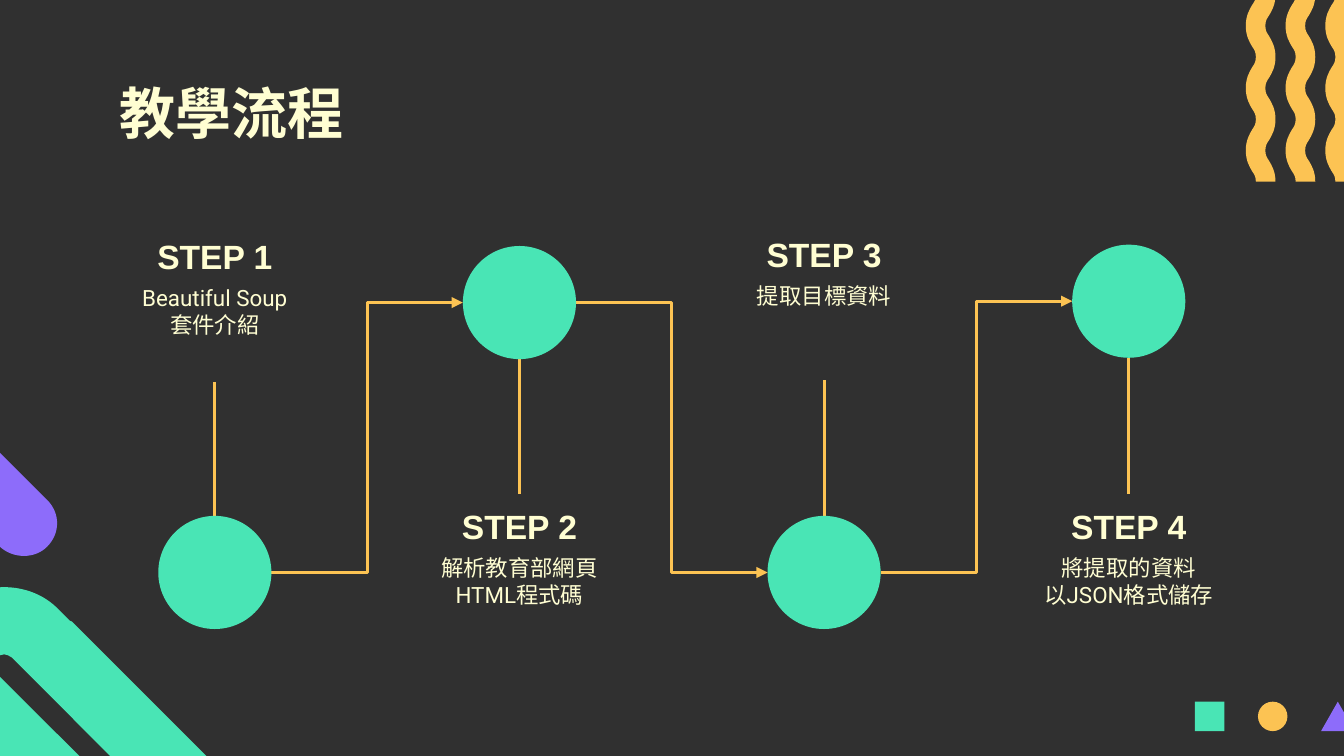
from pptx import Presentation
from pptx.dml.color import RGBColor as Rgb
from pptx.enum.shapes import MSO_CONNECTOR as Link, MSO_SHAPE as Kind
from pptx.enum.text import MSO_ANCHOR as Anchor, PP_ALIGN as Align
from pptx.oxml import parse_xml
from pptx.oxml.ns import nsdecls
from pptx.util import Pt

HUES = {
    "dark": "303030",
    "cream": "FFFED2",
    "mint": "49E5B5",
    "gold": "FCC353",
    "violet": "8D6CFA",
}

STEPS = [
    ("STEP 1", ["Beautiful Soup", "套件介紹"], 306.7, 119.8),
    ("STEP 2", ["解析教育部網頁HTML程式碼"], 162.1, 264.6),
    ("STEP 3", ["提取目標資料"], 306.7, 118.8),
    ("STEP 4", ["將提取的資料", "以JSON格式儲存"], 161.4, 264.6),
]

BAND = [
    (141.8, 547.9), (136.8, 547.9, 132.5, 546.5, 128.9, 542.9),
    (-27.4, 385.9), (-35.3, 378, -39.6, 367.9, -39.6, 356.4),
    (-39.6, 345.6, -35.3, 334.8, -27.4, 326.9),
    (-19.4, 319, -8.6, 314.6, 2.2, 314.6),
    (13, 314.6, 23.8, 318.5, 31.7, 326.9),
    (37.4, 332.6), (38.2, 332.6, 38.9, 333.4, 38.9, 333.4),
    (168.5, 463), (175.7, 470.2, 175.7, 481.7, 168.5, 488.9),
    (164.9, 492.5, 159.8, 493.9, 155.5, 493.9),
    (150.5, 493.9, 146.2, 492.5, 142.6, 488.9),
    (6.5, 352.4), (5, 351.4, 3.6, 350.6, 2.2, 350.6),
    (0.7, 350.6, -0.7, 351.4, -2.1, 352.4),
    (-2.9, 353.5, -3.6, 355, -3.6, 356.4),
    (-3.6, 357.8, -2.9, 359.3, -2.1, 360.6),
    (154.8, 517), (162, 524.2, 162, 535.7, 154.8, 542.9),
    (151.2, 546.5, 146.2, 547.9, 141.8, 547.9),
]

PILL = [
    (-41.8, 200.9), (25.2, 267.8), (32.4, 275, 32.4, 285.8, 25.2, 293),
    (18.7, 299.5, 7.2, 299.5, 0, 293), (-67, 225.4),
]

BEND = [(5.4, 0), (5.4, 2.6), (4.7, 3.7), (3.4, 5.6),
        (2, 8), (0, 11.2), (0, 16.7)]


def curves(dots):
    return [dots[0]] + [sum(dots[k:k + 3], ()) for k in range(1, len(dots), 3)]


def wave(left, top=-2.9, turn=33.4, wide=15.9):
    lap = BEND + [(x, turn - y) for x, y in reversed(BEND[:-1])]
    line = lap[:1] + [(x, y + turn * k) for k in range(4) for x, y in lap[1:]]
    near = [(left + x, top + y) for x, y in line[:37]]
    far = [(left + wide - x, top + y - turn / 2) for x, y in line[6:43]]
    return curves(near) + curves(far[::-1])


class Deck:
    def __init__(self):
        self.file = Presentation()
        self.file.slide_width, self.file.slide_height = Pt(720), Pt(405)
        self.slide = self.file.slides.add_slide(self.file.slide_layouts[6])
        self.shapes = self.slide.shapes
        self.paint(self.slide.background.fill, "dark")

    def paint(self, fill, hue):
        fill.solid()
        fill.fore_color.rgb = Rgb.from_string(HUES[hue])

    def plain(self, shape, hue):
        shape.shadow.inherit = False
        self.paint(shape.fill, hue)
        shape.line.fill.background()

    def shape(self, kind, x, y, w, h, hue):
        self.plain(self.shapes.add_shape(kind, Pt(x), Pt(y), Pt(w), Pt(h)), hue)

    def free(self, route, hue):
        dots = [(Pt(item[k]), Pt(item[k + 1]))
                for item in route for k in range(0, len(item), 2)]
        pen = self.shapes.build_freeform(*dots[0])
        pen.add_line_segments(dots[1:])
        shape = pen.convert_to_shape()
        legs = iter(shape.element.findall(".//{*}lnTo"))
        for item in route[1:]:
            leg = next(legs)
            if len(item) == 6:
                curve = parse_xml(f'<a:cubicBezTo {nsdecls("a")}/>')
                leg.addprevious(curve)
                for part in (leg, next(legs), next(legs)):
                    curve.append(part[0])
                    part.getparent().remove(part)
        self.plain(shape, hue)

    def text(self, x, y, w, h, lines, size, font="Arial", bold=False,
             align=Align.CENTER, anchor=Anchor.TOP):
        frame = self.shapes.add_textbox(Pt(x), Pt(y), Pt(w), Pt(h)).text_frame
        frame.word_wrap = True
        frame.vertical_anchor = anchor
        frame.margin_left = frame.margin_right = Pt(7.2)
        frame.margin_top = frame.margin_bottom = Pt(7.2)
        frame.text = "\n".join(lines)
        for para in frame.paragraphs:
            para.alignment = align
            para.font.name, para.font.size, para.font.bold = font, Pt(size), bold
            para.font.color.rgb = Rgb.from_string(HUES["cream"])

    def link(self, x1, y1, x2, y2, kind=Link.STRAIGHT, arrow=False):
        link = self.shapes.add_connector(kind, Pt(x1), Pt(y1), Pt(x2), Pt(y2))
        link.line.width = Pt(1.5)
        self.paint(link.line.fill, "gold")
        props = link.element.spPr
        if arrow:
            props.find("{*}ln").append(
                parse_xml(f'<a:tailEnd {nsdecls("a")} type="triangle"/>'))
        props.append(parse_xml(f'<a:effectLst {nsdecls("a")}/>'))

    def save(self):
        self.file.save("out.pptx")


def main():
    deck = Deck()

    for k in range(3):
        deck.free(wave(667.4 + 21.3 * k), "gold")
    deck.free(BAND, "mint")
    deck.free(PILL, "violet")
    marks = [(Kind.RECTANGLE, 15.8, "mint"), (Kind.OVAL, 15.8, "gold"),
             (Kind.ISOSCELES_TRIANGLE, 18, "violet")]
    for k, (kind, wide, hue) in enumerate(marks):
        deck.shape(kind, 640.1 + 33.8 * k, 375.9, wide, 15.8, hue)

    deck.text(56.9, 35, 606.6, 45, ["教學流程"], 30, bold=True, align=Align.LEFT)

    first, pitch, size, wide = 115.1, 163.2, 60.6, 116.6
    half = size / 2
    for k, (head, body, hub, top) in enumerate(STEPS):
        mid = first + pitch * k
        above = top < hub
        stem, edge = (top + 84.8, hub - half) if above else (top, hub + half)
        deck.link(mid, stem, mid, edge)
        if k < len(STEPS) - 1:
            deck.link(mid + half, hub, mid + pitch - half, STEPS[k + 1][2],
                      Link.ELBOW, True)
        deck.shape(Kind.OVAL, mid - half, hub - half, size, size, "mint")
        deck.text(mid - wide / 2, top, wide, 35.3, [head], 18, bold=True,
                  anchor=Anchor.BOTTOM)
        deck.text(mid - wide / 2, top + 25.3, wide, 59, body, 12, "Roboto")

    deck.save()


if __name__ == "__main__":
    main()
